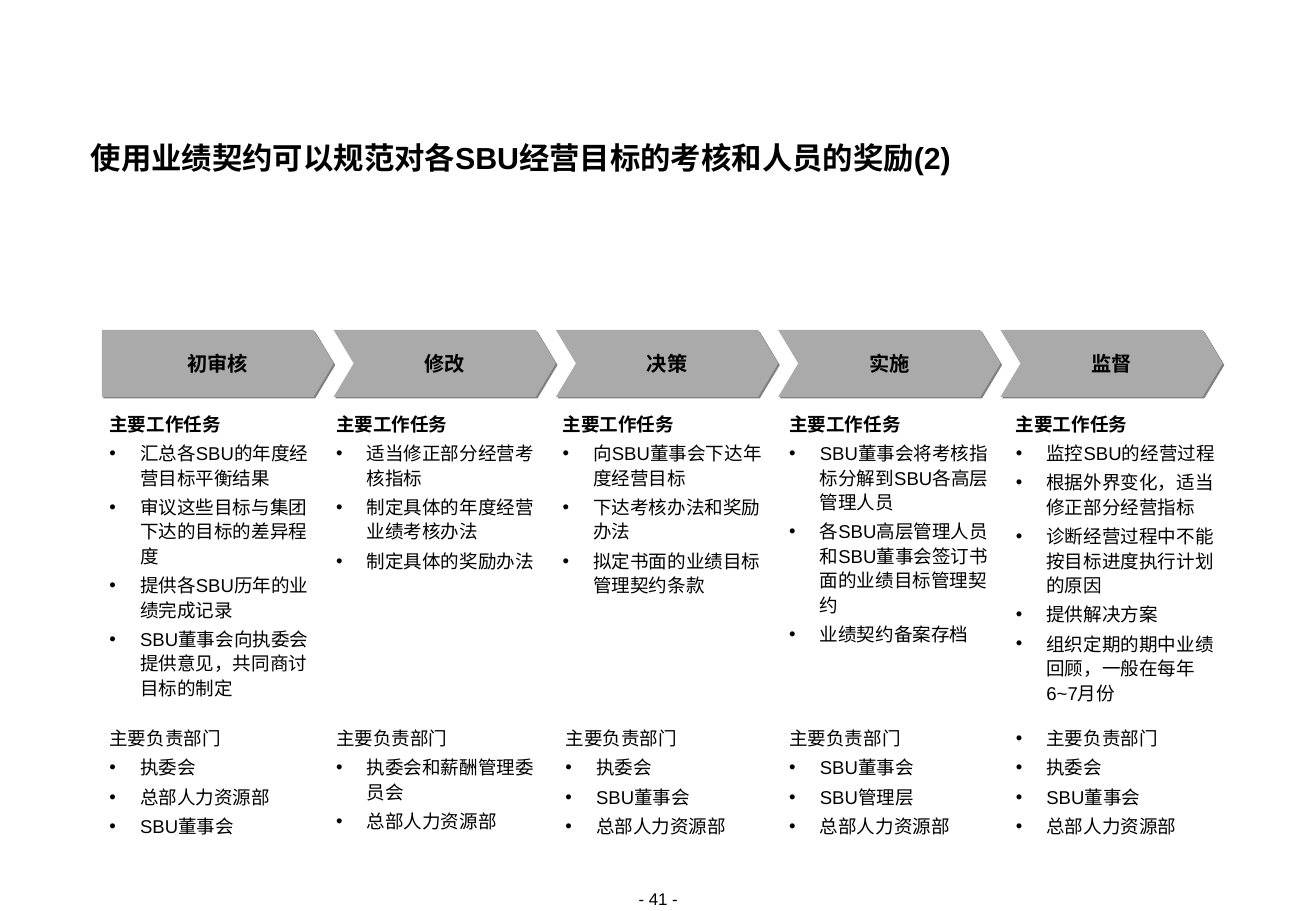
from dataclasses import dataclass

from lxml import etree
from pptx import Presentation
from pptx.dml.color import RGBColor
from pptx.enum.lang import MSO_LANGUAGE_ID
from pptx.enum.text import MSO_ANCHOR, MSO_AUTO_SIZE, PP_ALIGN
from pptx.oxml.ns import qn
from pptx.util import Cm, Pt

LEFT, CENTER = PP_ALIGN.LEFT, PP_ALIGN.CENTER
TOP, MIDDLE = MSO_ANCHOR.TOP, MSO_ANCHOR.MIDDLE
GROW = MSO_AUTO_SIZE.SHAPE_TO_FIT_TEXT
CHINESE = MSO_LANGUAGE_ID.SIMPLIFIED_CHINESE


@dataclass(frozen=True)
class Theme:
    font: str = "Arial"
    ink: str = "000000"
    arrow: str = "AAAAAA"
    shadow: str = "808080"
    title_size: int = 18
    stage_size: int = 12
    body_size: int = 11
    page_size: int = 10


theme = Theme()


def format_text(text_frame, size, bold=False, alignment=LEFT, anchor=TOP):
    text_frame.margin_left = text_frame.margin_right = 0
    text_frame.margin_top = text_frame.margin_bottom = 0
    text_frame.vertical_anchor = anchor
    for paragraph in text_frame.paragraphs:
        paragraph.alignment = alignment
        for run in paragraph.runs:
            run.font.name = theme.font
            run.font.size = Pt(size)
            run.font.bold = bold
            run.font.color.rgb = RGBColor.from_string(theme.ink)
            run.font.language_id = CHINESE


def add_list(left, top, height, lines, bold_heading, first_bullet):
    box = slide.shapes.add_textbox(Cm(left), Cm(top), Cm(4.22), Cm(height))
    text_frame = box.text_frame
    text_frame.word_wrap = True
    text_frame.auto_size = GROW
    text_frame.text = "\n".join(lines)
    for index, paragraph in enumerate(text_frame.paragraphs):
        properties = paragraph._p.get_or_add_pPr()
        properties.set("marL", str(Cm(0.64)))
        properties.set("indent", str(Cm(-0.64)))
        if index >= first_bullet:
            color = etree.SubElement(properties, qn("a:buClr"))
            etree.SubElement(color, qn("a:srgbClr"), val=theme.ink)
            etree.SubElement(properties, qn("a:buFont"), typeface=theme.font)
            etree.SubElement(properties, qn("a:buChar"), char="•")
        paragraph.line_spacing = 1.1
        paragraph.space_before = Pt(2.8 if index else 0)
    format_text(text_frame, theme.body_size)
    text_frame.paragraphs[0].runs[0].font.bold = bold_heading


# Stage name, height of the task list, tasks, departments
stages = [
    ("初审核", 6.02,
     ["汇总各SBU的年度经营目标平衡结果", "审议这些目标与集团下达的目标的差异程度",
      "提供各SBU历年的业绩完成记录", "SBU董事会向执委会提供意见，共同商讨目标的制定"],
     ["执委会", "总部人力资源部", "SBU董事会"]),
    ("修改", 3.35,
     ["适当修正部分经营考核指标", "制定具体的年度经营业绩考核办法", "制定具体的奖励办法"],
     ["执委会和薪酬管理委员会", "总部人力资源部"]),
    ("决策", 3.89,
     ["向SBU董事会下达年度经营目标", "下达考核办法和奖励办法", "拟定书面的业绩目标管理契约条款"],
     ["执委会", "SBU董事会", "总部人力资源部"]),
    ("实施", 4.9,
     ["SBU董事会将考核指标分解到SBU各高层管理人员",
      "各SBU高层管理人员和SBU董事会签订书面的业绩目标管理契约", "业绩契约备案存档"],
     ["SBU董事会", "SBU管理层", "总部人力资源部"]),
    ("监督", 6.63,
     ["监控SBU的经营过程", "根据外界变化，适当修正部分经营指标",
      "诊断经营过程中不能按目标进度执行计划的原因", "提供解决方案",
      "组织定期的期中业绩回顾，一般在每年6~7月份"],
     ["执委会", "SBU董事会", "总部人力资源部"]),
]

presentation = Presentation()
presentation.slide_width, presentation.slide_height = Cm(27.53), Cm(19.05)
slide = presentation.slides.add_slide(presentation.slide_layouts[5])

# Title
title = slide.shapes.title
title.left, title.top, title.width, title.height = Cm(1.9), Cm(2.97), Cm(23.7), Cm(0.71)
title.text_frame.text = "使用业绩契约可以规范对各SBU经营目标的考核和人员的奖励(2)"
title.text_frame.auto_size = GROW
title.text_frame.paragraphs[0].line_spacing = Pt(20)
format_text(title.text_frame, theme.title_size, bold=True)

# Process arrows
arrow_top, arrow_middle, arrow_bottom, point_depth = 6.9, 7.6, 8.3, 0.42
for index, (name, _, _, _) in enumerate(stages):
    tip = 6.98 + 4.65 * index
    left = tip - 4.65 if index else 2.13
    outline = [(tip - point_depth, arrow_top), (tip, arrow_middle),
               (tip - point_depth, arrow_bottom), (left, arrow_bottom)]
    if index:
        outline.append((left + point_depth, arrow_middle))
    builder = slide.shapes.build_freeform(Cm(left), Cm(arrow_top))
    builder.add_line_segments([(Cm(x), Cm(y)) for x, y in outline], close=True)
    arrow = builder.convert_to_shape()
    arrow.fill.solid()
    arrow.fill.fore_color.rgb = RGBColor.from_string(theme.arrow)
    arrow.line.fill.background()
    arrow.shadow.inherit = False
    effects = arrow._element.spPr.find(qn("a:effectLst"))
    shadow = etree.SubElement(effects, qn("a:outerShdw"), dist=str(Pt(1.4)),
                              dir="2700000", algn="ctr", rotWithShape="0")
    etree.SubElement(shadow, qn("a:srgbClr"), val=theme.shadow)
    arrow.text_frame.text = name
    arrow.text_frame.word_wrap = False
    arrow.text_frame.paragraphs[0].line_spacing = Pt(14)
    format_text(arrow.text_frame, theme.stage_size, True, CENTER, MIDDLE)

# Tasks and departments under each arrow
for index, (name, tasks_height, tasks, departments) in enumerate(stages):
    left = 2.29 + 4.74 * index
    add_list(left, 8.59, tasks_height, ["主要工作任务"] + tasks, True, 1)
    department_left = left + (0.06 if name == "决策" else 0)
    add_list(department_left, 15.16, 2.34, ["主要负责部门"] + departments, False,
             0 if name == "监督" else 1)

# Page number
page = slide.shapes.add_textbox(Cm(12.32), Cm(18.59), Cm(2.9), Cm(0.43))
page.text_frame.word_wrap = True
page.text_frame.auto_size = GROW
page.text_frame.text = "- 41 -"
format_text(page.text_frame, theme.page_size, alignment=CENTER)

presentation.save("out.pptx")
